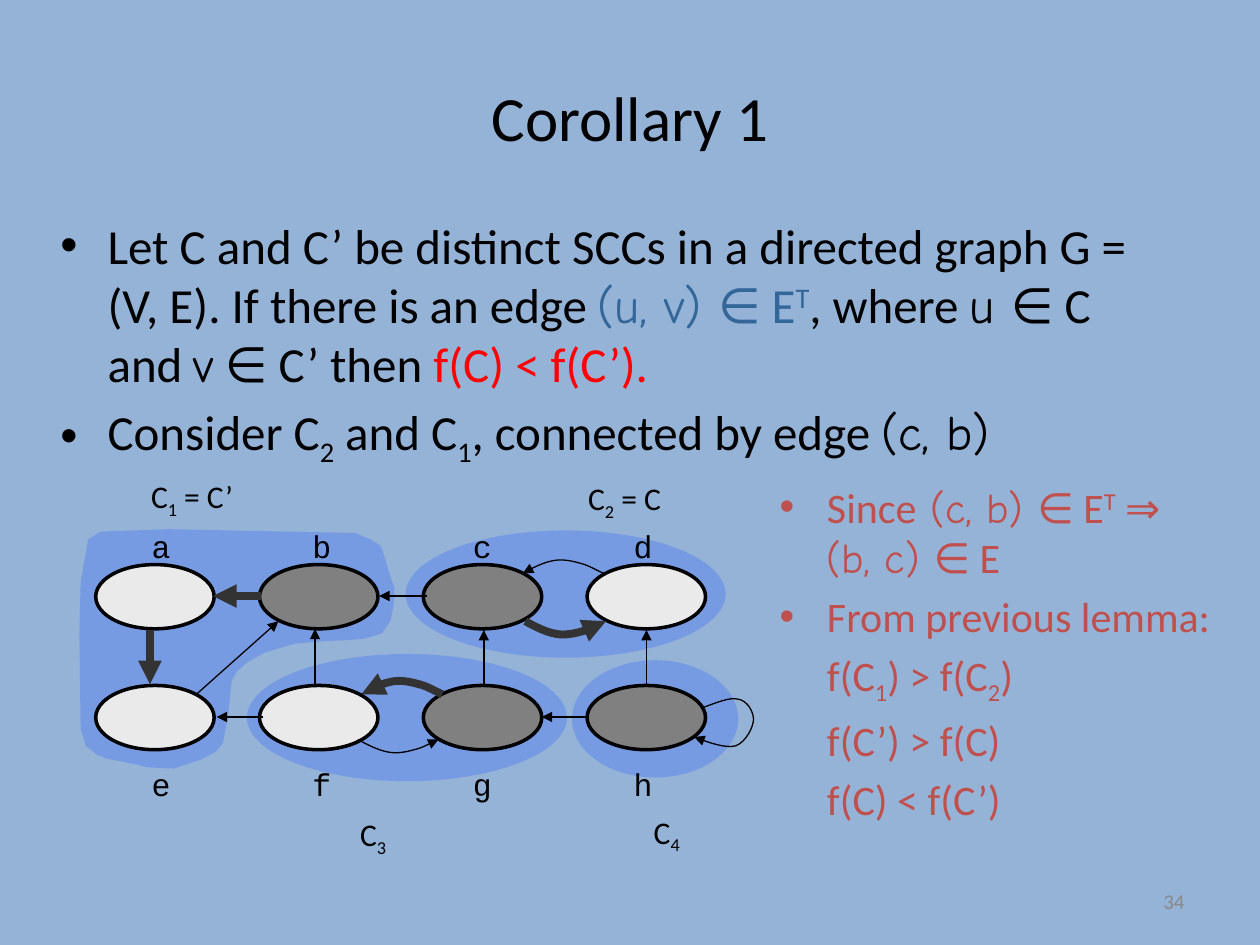
from dataclasses import dataclass

from lxml.etree import SubElement
from pptx import Presentation
from pptx.dml.color import RGBColor
from pptx.enum.shapes import MSO_CONNECTOR, MSO_SHAPE
from pptx.enum.text import MSO_ANCHOR, MSO_AUTO_SIZE, PP_ALIGN
from pptx.oxml.ns import qn
from pptx.util import Pt


@dataclass(frozen=True)
class Theme:
    background: str = "95B3D7"
    ink: str = "000000"
    edge_text: str = "336699"
    result: str = "FF0000"
    proof: str = "C0504D"
    number: str = "898989"
    component: str = "3366FF"
    light: str = "EAEAEA"
    dark: str = "808080"
    tree_edge: str = "333333"
    font: str = "Calibri"
    math: str = "Comic Neue"
    mono: str = "Courier New"
    title_pt: int = 36
    body_pt: int = 28
    proof_pt: int = 24
    label_pt: int = 18
    number_pt: int = 12


T = Theme()
SUB, SUP = {"base": -25000}, {"base": 30000}
MATH = {"font": T.math}

BODY = [
    ["Let C and C’ be distinct SCCs in a directed graph G = (V, E). If there is an edge ",
     ("(u, v) ", {"font": T.math, "color": T.edge_text}),
     ("∈ E", {"color": T.edge_text}), ("T", {"color": T.edge_text, **SUP}),
     ", where ", ("u ", MATH), "∈ C and ", ("v", MATH), " ∈ C’ then ",
     ("f(C) < f(C’).", {"color": T.result})],
    ["Consider C", ("2", SUB), " and C", ("1", SUB), ", connected by edge ", ("(c, b)", MATH)],
]
PROOF = [
    ["Since", (" (c, b) ", MATH), "∈ E", ("T", SUP), " ⇒ ", ("(b, c) ", MATH), "∈ E"],
    ["From previous lemma:"],
    ["f(C", ("1", SUB), ") > f(C", ("2", SUB), ")"],
    ["f(C’) > f(C)"],
    ["f(C) < f(C’)"],
]
LABELS = [  # left, top, width, index, rest
    (79.2, 269.3, 71.3, "1", " = C’"), (329, 270, 67.7, "2", " = C"),
    (198.7, 462.2, 33.8, "3", ""), (366.5, 460.8, 33.8, "4", ""),
]
C1_OUTLINE = [
    (57.6, 303.8), (96.5, 302.4), (203, 304.6), (211.7, 308.2), (217.4, 311.8),
    (218.9, 315.4), (223.9, 331.9), (225.4, 335.5), (225, 345.6), (223.2, 355),
    (218, 362.2), (208.1, 365), (199.4, 365.8), (183.6, 366.5), (168.5, 367.9),
    (158.4, 370.8), (151.2, 373), (146.2, 375.8), (141.1, 378.7), (135.4, 383.8),
    (132.5, 388.8), (130.3, 409), (127.4, 424.8), (123.1, 429.8), (114.5, 434.2),
    (99.4, 439.2), (83.5, 438.5), (78.5, 437), (60.5, 433.4), (55.4, 431.3),
    (49, 426.2), (47.5, 421.2), (46.1, 416.9), (45.4, 362.9), (46.1, 332.6), (50.4, 308.2),
]
COMPONENTS = [(326.9, 377.3, 95, 67), (231.8, 303.1, 182.9, 72.7), (141.1, 373.7, 182.9, 72.7)]
NODE_ROWS = [  # names, node top, name top, fills
    ("abcd", 322.6, 297.4, (T.light, T.dark, T.dark, T.light)),
    ("efgh", 391.7, 433.4, (T.light, T.light, T.dark, T.dark)),
]
EDGES = [  # start, end, belongs to the tree
    ((149, 340.6), (121.7, 340.6), True), ((244.1, 340.6), (216.7, 340.6), False),
    ((150.5, 409.7), (123.8, 409.7), False), ((336.2, 409.7), (309.6, 409.7), False),
    ((85.7, 360), (85.7, 391), True), ((180, 391), (180, 359.3), False),
    ((276.5, 391.7), (276.5, 360), False), ((369.4, 391), (369.4, 360), False),
    ((112.3, 396.7), (159.1, 355), False),
]
ARC = [(0, 0), (5.8, 3.2), (11.5, 6.1), (17.3, 7.2), (22.3, 8.2), (27.4, 7.2),
       (32.4, 5.8), (37.4, 4.7), (41.8, 1.8), (46.1, 0)]
ARCS = [  # left, base, leftward and bulging up, belongs to the tree
    (206.6, 396.7, True, True), (298.8, 327.6, True, False),
    (300.2, 355, False, True), (204.5, 422.6, False, False),
]
LOOP = [(401, 404.6), (409, 401.8), (416.9, 398.2), (421.9, 399.6), (427, 400.3),
        (430.6, 406.8), (430.6, 411.1), (430.6, 415.4), (426.2, 424.1), (420.5, 426.2),
        (414.7, 427.7), (406.1, 424.8), (396.7, 421.2)]


def rgb(value):
    return RGBColor.from_string(value)


def add_text(shapes, box, paragraphs, size, color=T.ink, font=T.font, align=PP_ALIGN.LEFT,
             anchor=MSO_ANCHOR.TOP, wrap=True, before=0, margin=0, bullets=0):
    """Each paragraph is a list of strings or (string, run format); the first `bullets` get a dot."""
    tf = shapes.add_textbox(*map(Pt, box)).text_frame
    tf.word_wrap, tf.vertical_anchor = wrap, anchor
    tf.auto_size = MSO_AUTO_SIZE.NONE if wrap else MSO_AUTO_SIZE.SHAPE_TO_FIT_TEXT
    for i, runs in enumerate(paragraphs):
        p = tf.add_paragraph() if i else tf.paragraphs[0]
        p.alignment, p.space_before = align, Pt(before)
        pPr = p._p.get_or_add_pPr()
        pPr.set("marL", str(Pt(margin)))
        if i < bullets:
            pPr.set("indent", str(-Pt(margin)))
            SubElement(pPr, qn("a:buFont"), typeface="Arial")
            SubElement(pPr, qn("a:buChar"), char="•")
        for item in runs:
            text, fmt = (item, {}) if isinstance(item, str) else item
            r = p.add_run()
            r.text = text
            r.font.size, r.font.name = Pt(size), fmt.get("font", font)
            r.font.color.rgb = rgb(fmt.get("color", color))
            if "base" in fmt:
                r._r.get_or_add_rPr().set("baseline", str(fmt["base"]))


def style_component(s):
    s.shadow.inherit = False
    s.fill.solid()
    s.fill.fore_color.rgb = rgb(T.component)
    color = s._element.spPr.find(qn("a:solidFill"))[0]
    SubElement(color, qn("a:alpha"), val="30000")
    s.line.fill.background()


def add_node(shapes, left, top, fill):
    s = shapes.add_shape(MSO_SHAPE.OVAL, Pt(left), Pt(top), Pt(67.7), Pt(36.7))
    s.shadow.inherit = False
    s.fill.solid()
    s.fill.fore_color.rgb = rgb(fill)
    s.line.color.rgb, s.line.width = rgb(T.ink), Pt(2)


def style_arrow(s, tree):
    s.line.color.rgb = rgb(T.tree_edge if tree else T.ink)
    s.line.width = Pt(4.5 if tree else 0.75)
    SubElement(s._element.spPr.find(qn("a:ln")), qn("a:tailEnd"), type="triangle")


def add_edge(shapes, start, end, tree):
    s = shapes.add_connector(MSO_CONNECTOR.STRAIGHT, *map(Pt, start + end))
    style_arrow(s, tree)
    SubElement(s._element.spPr, qn("a:effectLst"))


def add_outline(shapes, points, close):
    points = [(Pt(x), Pt(y)) for x, y in points]
    builder = shapes.build_freeform(*points[0], scale=1.0)
    builder.add_line_segments(points[1:], close=close)
    return builder.convert_to_shape()


def bezier_points(controls, steps=8):
    """Sample a chain of cubic curves."""
    points = [controls[0]]
    for i in range(0, len(controls) - 1, 3):
        for t in (n / steps for n in range(1, steps + 1)):
            weights = ((1 - t) ** 3, 3 * t * (1 - t) ** 2, 3 * t * t * (1 - t), t ** 3)
            points.append(tuple(sum(w * c[axis] for w, c in zip(weights, controls[i:i + 4]))
                                for axis in (0, 1)))
    return points


def add_curved_edge(shapes, controls, tree):
    s = add_outline(shapes, bezier_points(controls), close=False)
    s.shadow.inherit = False
    s.fill.background()
    style_arrow(s, tree)


def add_graph(shapes):
    for names, node_top, name_top, fills in NODE_ROWS:
        for col, (name, fill) in enumerate(zip(names, fills)):
            add_node(shapes, 54.7 + 93.6 * col, node_top, fill)
            add_text(shapes, (79.6 + 91.8 * col, name_top, 22, 28.8), [[name]], T.label_pt,
                     font=T.mono, wrap=False)
    for edge in EDGES:
        add_edge(shapes, *edge)
    for left, base, back, tree in ARCS:
        controls = [(left + x, base - y if back else base + y) for x, y in ARC]
        add_curved_edge(shapes, controls[::-1] if back else controls, tree)
    add_curved_edge(shapes, LOOP, False)


def main():
    prs = Presentation()
    prs.slide_width, prs.slide_height = Pt(720), Pt(540)
    slide = prs.slides.add_slide(prs.slide_layouts[6])
    slide.background.fill.solid()
    slide.background.fill.fore_color.rgb = rgb(T.background)
    shapes = slide.shapes

    add_text(shapes, (36, 21.6, 648, 90), [["Corollary 1"]], T.title_pt,
             align=PP_ALIGN.CENTER, anchor=MSO_ANCHOR.MIDDLE)
    add_text(shapes, (27.4, 119.5, 648, 179.3), BODY, T.body_pt, before=5.6, margin=27, bullets=2)
    style_component(add_outline(shapes, C1_OUTLINE, close=True))
    for box in COMPONENTS:
        style_component(shapes.add_shape(MSO_SHAPE.OVAL, *map(Pt, box)))
    for left, top, width, index, rest in LABELS:
        runs = ["C", (index, SUB)] + ([rest] if rest else [])
        add_text(shapes, (left, top, width, 28.8), [runs], T.label_pt, wrap=False)
    add_graph(shapes.add_group_shape().shapes)
    add_text(shapes, (438.5, 271.4, 261.4, 229), PROOF, T.proof_pt, color=T.proof,
             before=4.8, margin=27, bullets=2)
    add_text(shapes, (516, 500.5, 168, 28.8), [["34"]], T.number_pt, color=T.number,
             align=PP_ALIGN.RIGHT, anchor=MSO_ANCHOR.MIDDLE)
    prs.save("out.pptx")


if __name__ == "__main__":
    main()
